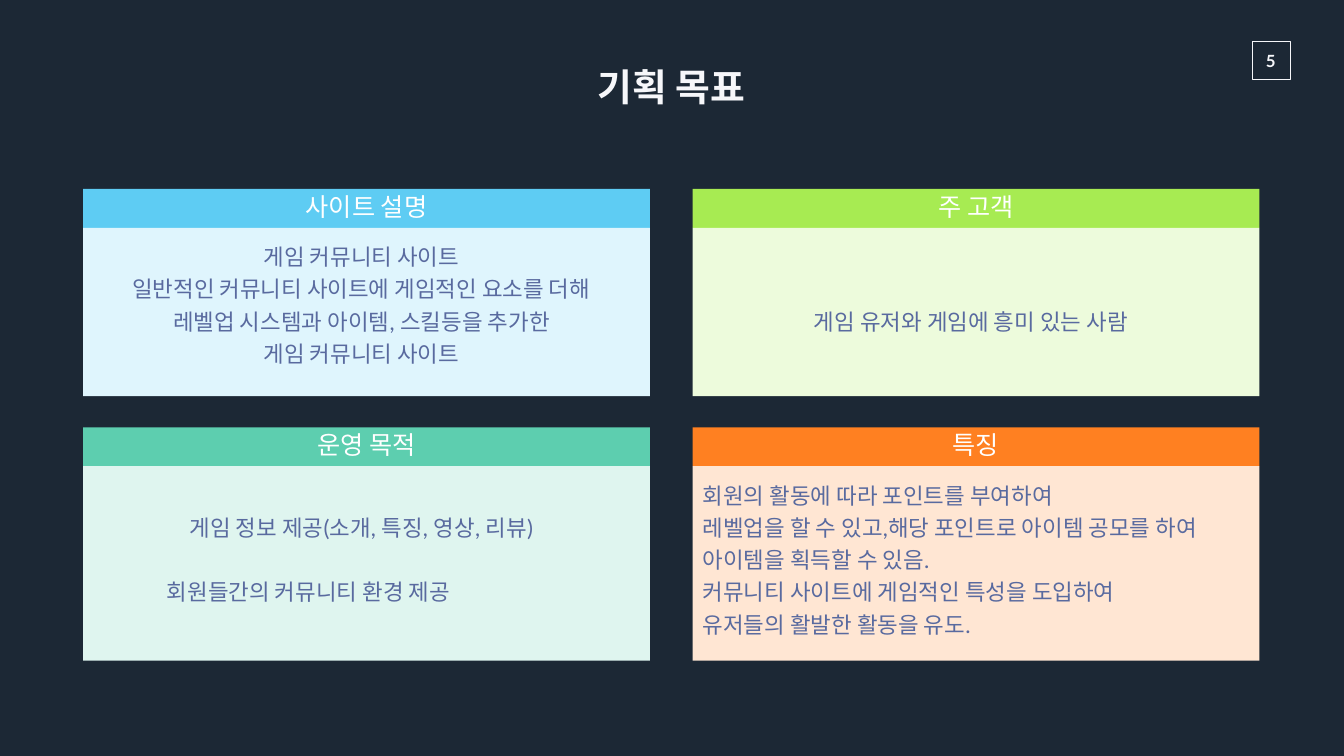
from dataclasses import dataclass

from pptx import Presentation
from pptx.dml.color import RGBColor
from pptx.enum.shapes import MSO_SHAPE
from pptx.enum.text import MSO_ANCHOR, MSO_AUTO_SIZE, PP_ALIGN
from pptx.util import Inches, Pt

RECTANGLE = MSO_SHAPE.RECTANGLE
TOP, MIDDLE = MSO_ANCHOR.TOP, MSO_ANCHOR.MIDDLE
LEFT, CENTER = PP_ALIGN.LEFT, PP_ALIGN.CENTER
GROW = MSO_AUTO_SIZE.SHAPE_TO_FIT_TEXT


@dataclass(frozen=True)
class Theme:
    background: str = "1C2835"
    light: str = "F6F7FA"
    white: str = "FFFFFF"
    body: str = "596A9F"
    title_font: str = "Montserrat"
    text_font: str = "Lato"
    title_size: int = 54
    heading_size: int = 36
    body_size: int = 32
    number_size: int = 24


THEME = Theme()

# Card grid, in inches
COLUMNS = (1.65, 13.74)
ROWS = ((3.75, 3.34), (8.48, 3.86))  # top of the heading, height of the body
CARD_WIDTH, HEADING_HEIGHT = 11.24, 0.77
BODY_LINE = 0.64  # pitch of one body line

# Heading, heading colour, body colour, lines left free on top, alignment, text
CARDS = (
    ("사이트 설명", "5ECCF3", "DFF5FD", 0, CENTER, (
        "게임 커뮤니티 사이트",
        "일반적인 커뮤니티 사이트에 게임적인 요소를 더해",
        "레벨업 시스템과 아이템, 스킬등을 추가한",
        "게임 커뮤니티 사이트")),
    ("주 고객", "A7EB52", "EDFBDC", 2, CENTER, (
        "게임 유저와 게임에 흥미 있는 사람",)),
    ("운영 목적", "5DCEAF", "DFF5EF", 1, CENTER, (
        "게임 정보 제공(소개, 특징, 영상, 리뷰)",)),
    ("특징", "FF8021", "FFE6D3", 0, LEFT, (
        "회원의 활동에 따라 포인트를 부여하여",
        "레벨업을 할 수 있고,해당 포인트로 아이템 공모를 하여 아이템을 획득할 수 있음.",
        "커뮤니티 사이트에 게임적인 특성을 도입하여",
        "유저들의 활발한 활동을 유도.")),
)
COMMUNITY_GOAL = "회원들간의 커뮤니티 환경 제공"


def apply_format(target, values):
    for name, value in values.items():
        setattr(target, name, value)


def set_frame(frame, margins, **values):
    sides = ("margin_left", "margin_top", "margin_right", "margin_bottom")
    apply_format(frame, dict(zip(sides, map(Inches, margins))) | values)


def write_paragraph(paragraph, text, size, color, font=THEME.text_font,
                    bold=False, **values):
    apply_format(paragraph, values)
    run = paragraph.add_run()
    run.text = text
    apply_format(run.font, {"name": font, "size": Pt(size), "bold": bold})
    run.font.color.rgb = RGBColor.from_string(color)


def add_panel(slide, bounds, fill=None, line=None):
    panel = slide.shapes.add_shape(RECTANGLE, *map(Inches, bounds))
    panel.shadow.inherit = False
    if fill:
        panel.fill.solid()
        panel.fill.fore_color.rgb = RGBColor.from_string(fill)
    else:
        panel.fill.background()
    if line:
        panel.line.color.rgb = RGBColor.from_string(line)
        panel.line.width = Pt(1)
    else:
        panel.line.fill.background()
    return panel


def add_label(slide, bounds, margins, anchor, text, size, font):
    frame = slide.shapes.add_textbox(*map(Inches, bounds)).text_frame
    set_frame(frame, margins, word_wrap=False, auto_size=GROW,
              vertical_anchor=anchor)
    write_paragraph(frame.paragraphs[0], text, size, THEME.light, font,
                    bold=True, alignment=CENTER)


def add_card(slide, left, top, body_height, card):
    heading, heading_color, body_color, free_lines, alignment, lines = card
    # Heading bar
    bar = add_panel(slide, (left, top, CARD_WIDTH, HEADING_HEIGHT),
                    heading_color).text_frame
    set_frame(bar, (0.11,) * 4, word_wrap=True, vertical_anchor=MIDDLE)
    write_paragraph(bar.paragraphs[0], heading, THEME.heading_size,
                    THEME.white, alignment=CENTER, line_spacing=0.9)
    # Body text
    body = add_panel(slide, (left, top + HEADING_HEIGHT, CARD_WIDTH,
                             body_height), body_color).text_frame
    set_frame(body, (0.2, 0.2 + free_lines * BODY_LINE, 0.4, 0.4),
              word_wrap=True, vertical_anchor=TOP)
    for index, line in enumerate(lines):
        paragraph = body.add_paragraph() if index else body.paragraphs[0]
        write_paragraph(paragraph, line, THEME.body_size, THEME.body,
                        alignment=alignment, line_spacing=1.2)
    return body


def add_indented_goal(body, text, indent):
    goal = body.add_paragraph()
    goal._p.get_or_add_pPr().set("marL", str(Inches(indent)))
    write_paragraph(goal, text, THEME.body_size, THEME.body, alignment=LEFT,
                    line_spacing=1.2, space_before=Inches(BODY_LINE))


def main():
    presentation = Presentation()
    presentation.slide_width = Inches(26.66)
    presentation.slide_height = Inches(15)
    slide = presentation.slides.add_slide(presentation.slide_layouts[6])
    slide.background.fill.solid()
    slide.background.fill.fore_color.rgb = RGBColor.from_string(THEME.background)

    # Page number
    add_panel(slide, (24.84, 0.82, 0.75, 0.75), line=THEME.light)
    add_label(slide, (24.8, 0.9, 0.81, 0.61), (0.2, 0.1, 0.2, 0.1), TOP,
              "5", THEME.number_size, THEME.text_font)

    # Cards, row by row
    places = [(left, top, height) for top, height in ROWS for left in COLUMNS]
    bodies = [add_card(slide, *place, card)
              for place, card in zip(places, CARDS)]
    add_indented_goal(bodies[2], COMMUNITY_GOAL, 1.46)

    # Title
    add_label(slide, (11.4, 1.12, 3.83, 1.18), (0.27, 0.13, 0.27, 0.13),
              MIDDLE, "기획 목표", THEME.title_size, THEME.title_font)

    presentation.save("out.pptx")


if __name__ == "__main__":
    main()
